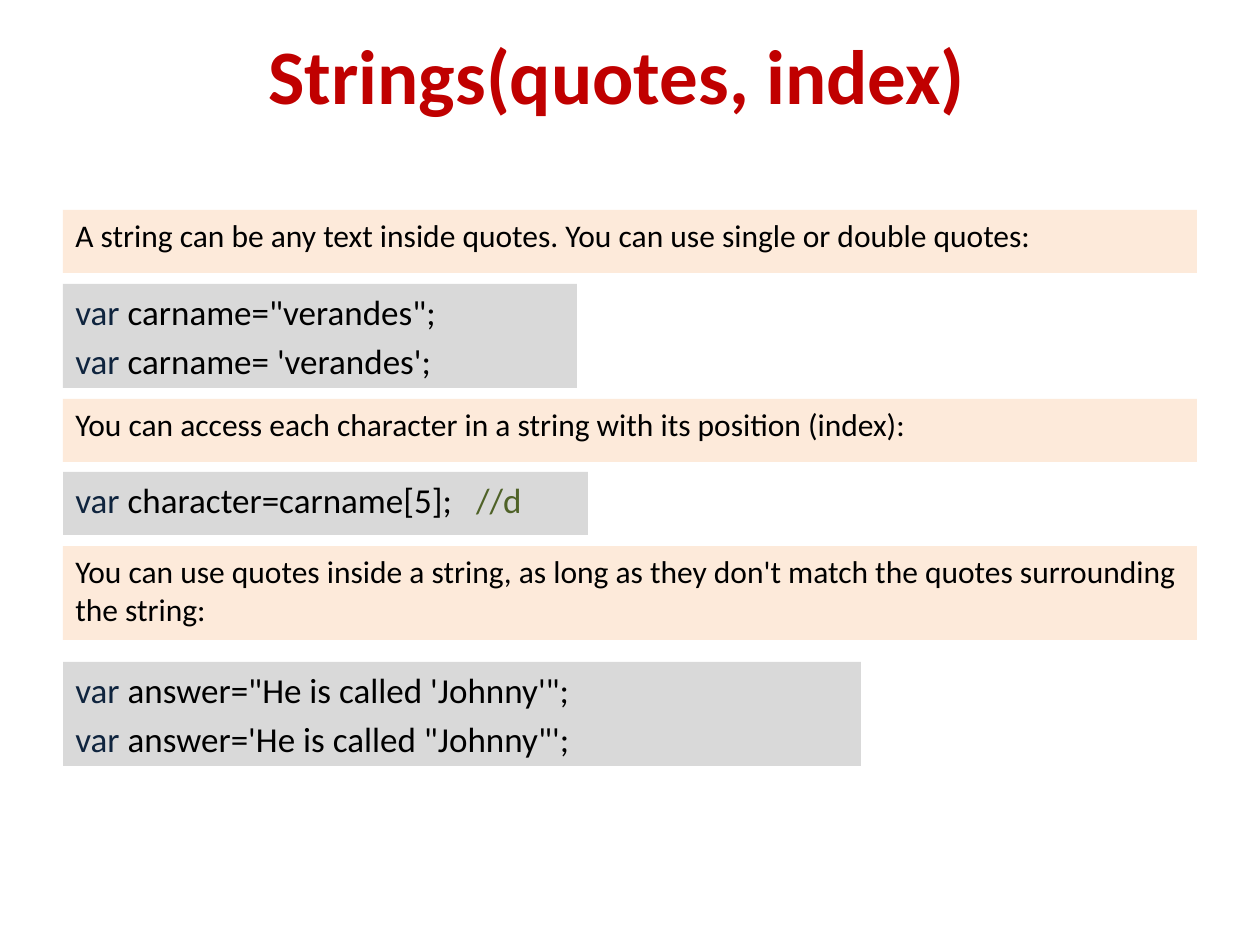
"""Builds a slide on string quotes and indexing in JavaScript."""
from pptx import Presentation
from pptx.dml.color import RGBColor
from pptx.enum.shapes import MSO_SHAPE as Shape
from pptx.enum.text import MSO_ANCHOR as Anchor, PP_ALIGN as Align
from pptx.util import Emu, Pt

RED = RGBColor(0xC0, 0x00, 0x00)
BLACK = RGBColor(0x00, 0x00, 0x00)
NAVY = RGBColor(0x0F, 0x24, 0x3E)
GREEN = RGBColor(0x4F, 0x62, 0x28)
PEACH = RGBColor(0xFD, 0xEA, 0xDA)
GREY = RGBColor(0xD9, 0xD9, 0xD9)
LEFT = 63


def px(length):
    return Emu(round(length * 914400 / 126))


def add_span(para, text, size, color, bold=False):
    span = para.add_run()
    span.text = text
    span.font.name = "Calibri"
    span.font.size = Pt(size)
    span.font.bold = bold
    span.font.color.rgb = color


deck = Presentation()
deck.slide_width, deck.slide_height = px(1260), px(945)
page = deck.slides.add_slide(deck.slide_layouts[6])

title = page.shapes.add_textbox(px(59), px(20), px(1134), px(108))
title.text_frame.word_wrap = True
title.text_frame.vertical_anchor = Anchor.MIDDLE
heading = title.text_frame.paragraphs[0]
heading.alignment = Align.CENTER
add_span(heading, "Strings(quotes, index) ", 44, RED, bold=True)

explanations = [
    (210, 63, "A string can be any text inside quotes. You can use single or double quotes:"),
    (399, 63, "You can access each character in a string with its position (index):"),
    (546, 94, "You can use quotes inside a string, as long as they don't match "
              "the quotes surrounding the string:"),
]
examples = [
    (284, 514, 104, [(' carname="verandes";', ""), (" carname= 'verandes';", "")]),
    (472, 525, 63, [(" character=carname[5];   ", "//d")]),
    (662, 798, 104, [(" answer=\"He is called 'Johnny'\";", ""),
                     (" answer='He is called \"Johnny\"';", "")]),
]

panels = [(top, 1134, height, PEACH, [[(text, 18, BLACK)]])
          for top, height, text in explanations]
panels += [(top, width, height, GREY,
            [[("var", 20, NAVY), (code, 20, BLACK), (remark, 20, GREEN)]
             for code, remark in lines])
           for top, width, height, lines in examples]

for top, width, height, fill, lines in panels:
    box = page.shapes.add_shape(Shape.RECTANGLE, px(LEFT), px(top), px(width), px(height))
    box.shadow.inherit = False
    box.fill.solid()
    box.fill.fore_color.rgb = fill
    box.line.fill.background()
    frame = box.text_frame
    frame.word_wrap = True
    frame.vertical_anchor = Anchor.TOP
    for index, spans in enumerate(lines):
        para = frame.add_paragraph() if index else frame.paragraphs[0]
        para.alignment = Align.LEFT
        para.space_before = Pt(4 if index else 0)
        for text, size, color in spans:
            if text:
                add_span(para, text, size, color)

deck.save("out.pptx")
